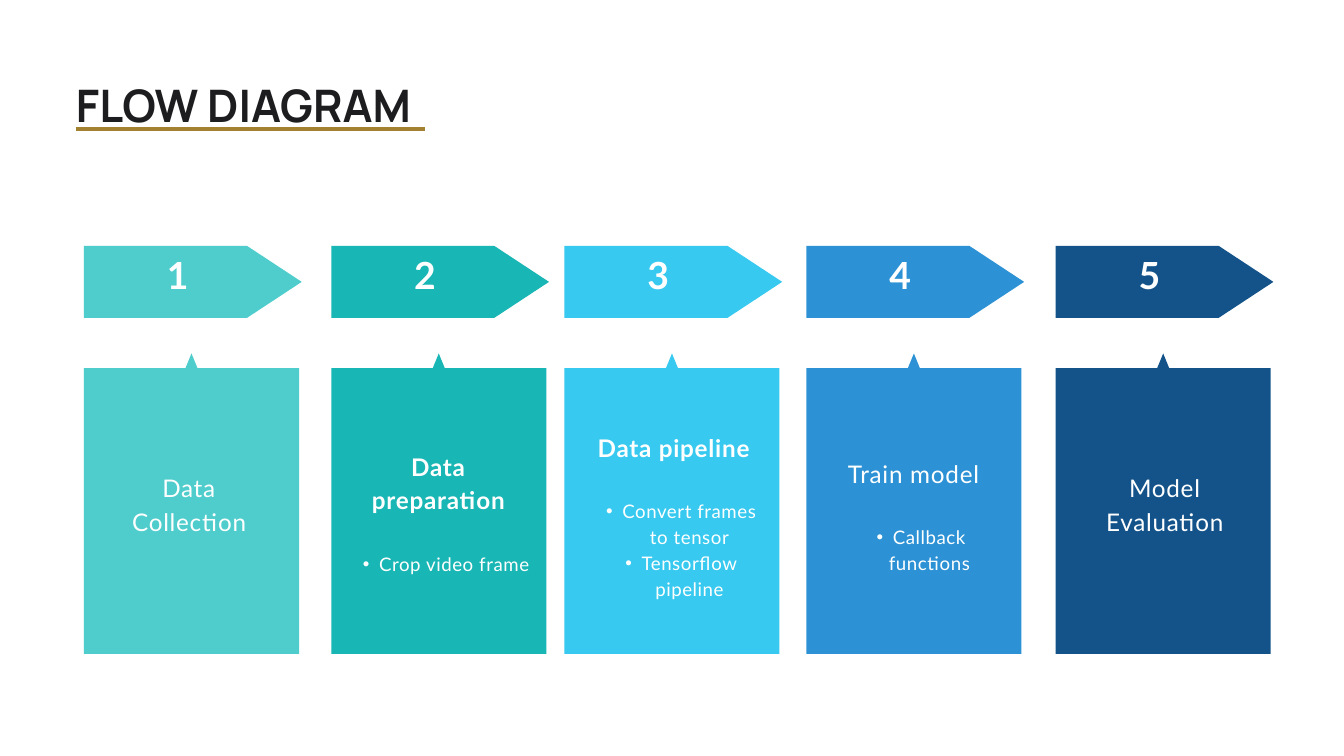
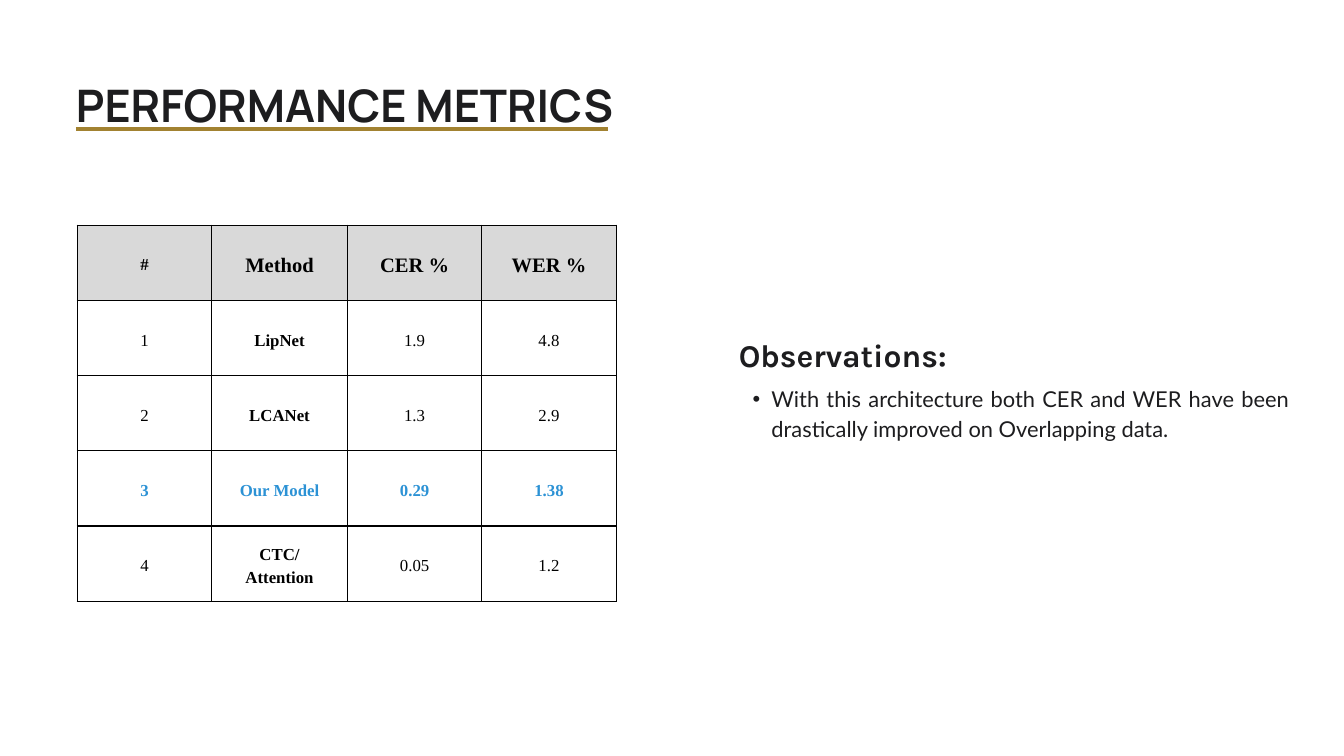
from dataclasses import dataclass

from lxml.etree import SubElement
from pptx import Presentation
from pptx.dml.color import RGBColor
from pptx.enum.shapes import MSO_CONNECTOR, MSO_SHAPE
from pptx.enum.text import MSO_ANCHOR, MSO_AUTO_SIZE, PP_ALIGN
from pptx.oxml import parse_xml
from pptx.oxml.ns import nsdecls, qn
from pptx.util import Inches, Pt


@dataclass(frozen=True)
class TextStyle:
    font: str
    size: float
    line: float
    color: str
    bold: bool = False
    tracking: float = 0
    align: PP_ALIGN = PP_ALIGN.CENTER


class Theme:
    INK, WHITE, BLACK = "1D1D1F", "FFFFFF", "000000"
    GOLD, HEADER_GREY, HIGHLIGHT = "A28231", "D9D9D9", "2C92D5"
    STEPS = ("4FCDCC", "18B6B4", "37C9EF", "2C92D5", "13538A")

    TITLE = TextStyle("Manrope", 48, 67.2, INK, True, align=PP_ALIGN.LEFT)
    NUMBER = TextStyle("Lato", 40, 56, WHITE, True, 1.2)
    STEP = TextStyle("Lato", 26, 36.4, WHITE, False, 0.8)
    STEP_BOLD = TextStyle("Lato", 26, 36.4, WHITE, True, 0.8)
    STEP_ITEM = TextStyle("Lato", 20, 28, WHITE, False, 0.6)
    HEADING = TextStyle("Karla", 34, 47.6, INK, True)
    BODY = TextStyle("Lato", 23.4, 32.8, INK, align=PP_ALIGN.JUSTIFY)


def table_style(size, color=Theme.BLACK, bold=False):
    return TextStyle("Times New Roman", size, size * 1.4, color, bold)


class Deck:
    """Holds the theme and the current slide."""

    def __init__(self, theme):
        self.theme = theme
        self.slide = None
        self.presentation = Presentation()
        self.presentation.slide_width = Inches(20)
        self.presentation.slide_height = Inches(11.25)

    def add_slide(self, layout, title, title_width, rule_end):
        layouts = self.presentation.slide_layouts
        self.slide = self.presentation.slides.add_slide(layouts.get_by_name(layout))
        self.place(self.slide.shapes.title, 1.13, 1.02, title_width, 0.9)
        self.fill_text(self.slide.shapes.title.text_frame, [title], self.theme.TITLE)
        self.rule(1.13, rule_end, 1.92)

    def place(self, shape, left, top, width, height):
        shape.left, shape.top = Inches(left), Inches(top)
        shape.width, shape.height = Inches(width), Inches(height)

    def fill_text(self, text_frame, lines, style, anchor=MSO_ANCHOR.TOP, inset=0):
        text_frame.word_wrap = True
        text_frame.auto_size = MSO_AUTO_SIZE.NONE
        text_frame.vertical_anchor = anchor
        text_frame.margin_left = text_frame.margin_right = Inches(inset)
        text_frame.margin_top = text_frame.margin_bottom = Inches(inset)
        text_frame.text = "\n".join(lines)
        for paragraph in text_frame.paragraphs:
            self.style_paragraph(paragraph, style)

    def style_paragraph(self, paragraph, style):
        paragraph.alignment = style.align
        paragraph.line_spacing = Pt(style.line)
        paragraph.space_before = paragraph.space_after = Pt(0)
        for run in paragraph.runs:
            run.font.name = style.font
            run.font.size = Pt(style.size)
            run.font.bold = style.bold
            run.font.color.rgb = RGBColor.from_string(style.color)
            if style.tracking:
                run._r.get_or_add_rPr().set("spc", str(round(style.tracking * 100)))

    def bullet(self, paragraph, margin, hanging):
        paragraph.level = 1
        properties = paragraph._p.get_or_add_pPr()
        properties.set("marL", str(Inches(margin)))
        properties.set("indent", str(-Inches(hanging)))
        SubElement(properties, qn("a:buFont")).set("typeface", "Arial")
        SubElement(properties, qn("a:buChar")).set("char", "•")

    def text(self, left, top, width, height, lines, style, **options):
        box = self.slide.shapes.add_textbox(
            Inches(left), Inches(top), Inches(width), Inches(height))
        self.fill_text(box.text_frame, lines, style, **options)
        return box.text_frame

    def rule(self, start, end, top):
        line = self.slide.shapes.add_connector(
            MSO_CONNECTOR.STRAIGHT, Inches(start), Inches(top), Inches(end), Inches(top))
        line.line.color.rgb = RGBColor.from_string(self.theme.GOLD)
        line.line.width = Pt(3.75)
        SubElement(line._element.spPr, qn("a:effectLst"))

    def paint(self, shape, color):
        shape.shadow.inherit = False
        shape.fill.solid()
        shape.fill.fore_color.rgb = RGBColor.from_string(color)
        shape.line.fill.background()

    def step_arrow(self, left, number, color):
        arrow = self.slide.shapes.add_shape(
            MSO_SHAPE.PENTAGON, Inches(left), Inches(3.66), Inches(3.24), Inches(1.07))
        arrow.adjustments[0] = 0.76
        self.paint(arrow, color)
        self.text(left, 3.34, 2.79, 1.39, [str(number)], self.theme.NUMBER,
                  anchor=MSO_ANCHOR.MIDDLE, inset=0.06)

    def step_card(self, left, color):
        tip, top, bottom = 5.26, 5.48, 9.73
        right, middle, half_notch = left + 3.2, left + 1.6, 0.09
        outline = [(left, top), (middle - half_notch, top), (middle, tip),
                   (middle + half_notch, top), (right, top), (right, bottom), (left, bottom)]
        points = [(Inches(x), Inches(y)) for x, y in outline]
        builder = self.slide.shapes.build_freeform(*points[0])
        builder.add_line_segments(points[1:], close=True)
        self.paint(builder.convert_to_shape(), color)

    def step_text(self, box, heading, items, bold):
        heading_style = self.theme.STEP_BOLD if bold else self.theme.STEP
        text_frame = self.text(*box, [heading, *items], self.theme.STEP_ITEM)
        first, *rest = text_frame.paragraphs
        self.style_paragraph(first, heading_style)
        if rest:
            first.space_after = Pt(heading_style.line)
        for paragraph in rest:
            self.bullet(paragraph, 0.47, 0.24)

    def bullet_list(self, left, top, width, height, lines):
        body = self.slide.placeholders[1]
        self.place(body, left, top, width, height)
        self.fill_text(body.text_frame, lines, self.theme.BODY)
        for paragraph in body.text_frame.paragraphs:
            self.bullet(paragraph, 0.55, 0.28)

    def border(self, cell):
        properties = cell._tc.get_or_add_tcPr()
        for index, side in enumerate("LRTB"):
            properties.insert(index, parse_xml(
                f'<a:ln{side} {nsdecls("a")} w="{Pt(1.5)}"><a:solidFill>'
                f'<a:srgbClr val="{self.theme.BLACK}"/></a:solidFill></a:ln{side}>'))

    def table(self, left, top, widths, row_height, rows, highlighted):
        table = self.slide.shapes.add_table(
            len(rows), len(widths), Inches(left), Inches(top),
            Inches(sum(widths)), Inches(row_height * len(rows))).table
        table.first_row = table.horz_banding = False
        for column, width in zip(table.columns, widths):
            column.width = Inches(width)
        for r, values in enumerate(rows):
            for c, value in enumerate(values):
                cell = table.cell(r, c)
                header, special = r == 0, r == highlighted
                style = table_style(22 if header and c else 18,
                                    self.theme.HIGHLIGHT if special else self.theme.BLACK,
                                    header or special or c == 1)
                cell.text = value
                self.style_paragraph(cell.text_frame.paragraphs[0], style)
                cell.vertical_anchor = MSO_ANCHOR.MIDDLE
                cell.margin_left = cell.margin_right = Inches(0.21)
                cell.margin_top = cell.margin_bottom = Inches(0.21)
                cell.fill.solid()
                cell.fill.fore_color.rgb = RGBColor.from_string(
                    self.theme.HEADER_GREY if header else self.theme.WHITE)
                self.border(cell)


# Step left edge, text box, heading, items, bold heading
STEPS = [
    (1.25, (1.72, 6.97, 2.19, 0.99), "Data Collection", [], False),
    (4.93, (5.16, 6.65, 2.73, 1.88), "Data preparation", ["Crop video frame"], True),
    (8.4, (8.77, 6.37, 2.51, 2.54), "Data pipeline",
     ["Convert frames to tensor", "Tensorflow pipeline"], True),
    (12, (12.5, 6.76, 2.19, 1.77), "Train model", ["Callback functions"], False),
    (15.71, (16.24, 6.97, 2.19, 0.99), "Model Evaluation", [], False),
]

METRICS = [
    ("#", "Method", "CER %", "WER %"),
    ("1", "LipNet", "1.9", "4.8"),
    ("2", "LCANet", "1.3", "2.9"),
    ("3", "Our Model", "0.29", "1.38"),
    ("4", "CTC/Attention", "0.05", "1.2"),
]


def main():
    deck = Deck(Theme)

    # Flow diagram
    deck.add_slide("Title Only", "FLOW DIAGRAM", 5.2, 6.32)
    for number, (step, color) in enumerate(zip(STEPS, Theme.STEPS), 1):
        left, box, heading, items, bold = step
        deck.step_arrow(left, number, color)
        deck.step_card(left, color)
        deck.step_text(box, heading, items, bold)

    # Performance metrics
    deck.add_slide("Title and Content", "PERFORMANCE METRICS", 8.07, 9.05)
    deck.table(1.15, 3.35, (2, 2.02, 2, 2), 1.12, METRICS, highlighted=3)
    deck.text(10.93, 4.91, 3.22, 0.63, ["Observations:"], Theme.HEADING)
    deck.bullet_list(10.93, 5.67, 8.25, 0.88, [
        "With this architecture both CER and WER have been drastically improved "
        "on Overlapping data."])

    deck.presentation.save("out.pptx")


if __name__ == "__main__":
    main()
